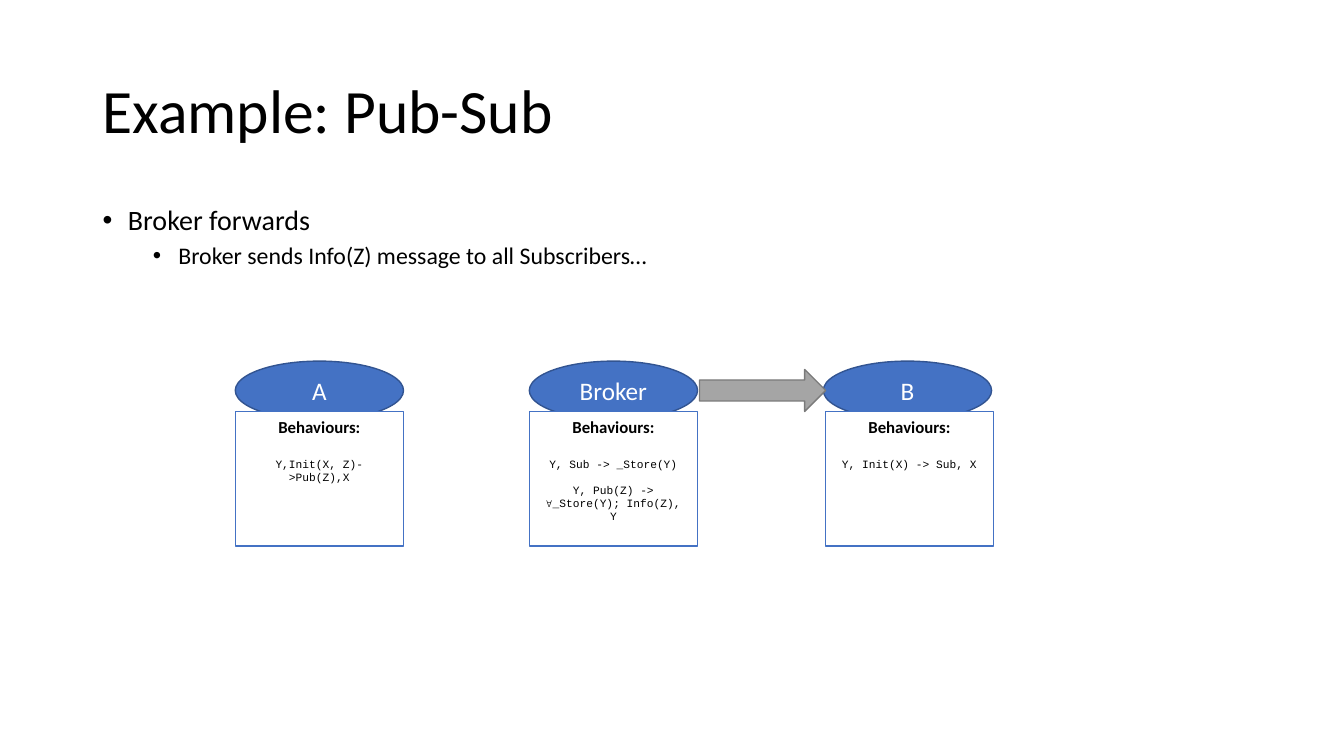
import pptx
import pptx.dml.color
import pptx.enum.shapes
import pptx.enum.text
import pptx.oxml.ns
import pptx.util
from lxml import etree

Cm, Pt = pptx.util.Cm, pptx.util.Pt
RGBColor = pptx.dml.color.RGBColor
SHAPE = pptx.enum.shapes.MSO_SHAPE
ALIGN = pptx.enum.text.PP_ALIGN
ANCHOR = pptx.enum.text.MSO_ANCHOR

TITLE = "Example: Pub-Sub"
# text, level, size, space before, left margin in cm
BULLETS = [
    ("Broker forwards", 0, 20, 10, 0.64),
    ("Broker sends Info(Z) message to all Subscribers…", 1, 17, 5, 1.91),
]
HEADING = "Behaviours:"
# name, rules, sideways shift of the box in cm
ACTORS = [
    ("A", ["Y,Init(X, Z)->Pub(Z),X"], 0),
    ("Broker", ["Y, Sub -> _Store(Y)", "Y, Pub(Z) -> ∀_Store(Y); Info(Z), Y"], 0),
    ("B", ["Y, Init(X) -> Sub, X"], 0.05),
]

BLACK = RGBColor(0x00, 0x00, 0x00)
WHITE = RGBColor(0xFF, 0xFF, 0xFF)
BLUE = RGBColor(0x44, 0x72, 0xC4)
NAVY = RGBColor(0x32, 0x54, 0x91)
GREY = RGBColor(0xA5, 0xA5, 0xA5)
DARK = RGBColor(0x7A, 0x7A, 0x7A)

LEFT, PITCH, WIDTH = 5.93, 7.41, 4.24
OVAL_TOP, OVAL_HIGH = 9.1, 1.48
BOX_TOP, BOX_HIGH = 10.37, 3.39
INDENT = 0.64


def place(shape, left, top, width, height):
    shape.left, shape.top = Cm(left), Cm(top)
    shape.width, shape.height = Cm(width), Cm(height)


def write(para, text, size, color=BLACK, font="Calibri", bold=False):
    run = para.add_run()
    run.text = text
    run.font.size = Pt(size)
    run.font.name = font
    run.font.bold = bold
    run.font.color.rgb = color


def draw(slide, kind, area, fill, line):
    left, top, width, height = map(Cm, area)
    shape = slide.shapes.add_shape(kind, left, top, width, height)
    shape.shadow.inherit = False
    shape.fill.solid()
    shape.fill.fore_color.rgb = fill
    shape.line.color.rgb = line
    shape.line.width = Pt(1)
    return shape


def next_para(frame, index):
    """Return the first paragraph for index 0, else a new one."""
    return frame.add_paragraph() if index else frame.paragraphs[0]


def set_bullet(para, margin):
    props = para._p.get_or_add_pPr()
    props.set("marL", str(Cm(margin)))
    props.set("indent", str(-Cm(INDENT)))
    qn = pptx.oxml.ns.qn
    etree.SubElement(props, qn("a:buFont"), typeface="Arial")
    etree.SubElement(props, qn("a:buChar"), char="•")


def add_title(slide):
    title = slide.shapes.title
    place(title, 2.33, 1.01, 29.21, 3.68)
    frame = title.text_frame
    frame.vertical_anchor = ANCHOR.MIDDLE
    para = frame.paragraphs[0]
    para.alignment = ALIGN.LEFT
    para.line_spacing = 0.9
    write(para, TITLE, 44)


def add_list(slide):
    body = slide.placeholders[1]
    place(body, 2.33, 5.07, 29.21, 12.09)
    frame = body.text_frame
    frame.auto_size = pptx.enum.text.MSO_AUTO_SIZE.NONE
    for index, (text, level, size, before, margin) in enumerate(BULLETS):
        para = next_para(frame, index)
        para.level = level
        para.line_spacing = 0.9
        para.space_before = Pt(before)
        set_bullet(para, margin)
        write(para, text, size)


def add_actor(slide, left, name, rules, shift):
    oval = draw(slide, SHAPE.OVAL, (left, OVAL_TOP, WIDTH, OVAL_HIGH), BLUE, NAVY)
    para = oval.text_frame.paragraphs[0]
    para.alignment = ALIGN.CENTER
    write(para, name, 18, WHITE)

    area = (left + shift, BOX_TOP, WIDTH, BOX_HIGH)
    box = draw(slide, SHAPE.RECTANGLE, area, WHITE, BLUE)
    frame = box.text_frame
    frame.vertical_anchor = ANCHOR.TOP
    head = frame.paragraphs[0]
    head.alignment = ALIGN.CENTER
    write(head, HEADING, 12, bold=True)
    for index, rule in enumerate(rules):
        para = frame.add_paragraph()
        para.alignment = ALIGN.CENTER
        para.space_before = Pt(9 if index else 14.5)
        write(para, rule, 8, font="Courier New")


def main():
    deck = pptx.Presentation()
    deck.slide_width, deck.slide_height = Cm(33.87), Cm(19.05)
    slide = deck.slides.add_slide(deck.slide_layouts[1])
    add_title(slide)
    add_list(slide)
    for index, actor in enumerate(ACTORS):
        add_actor(slide, LEFT + index * PITCH, *actor)
    start = LEFT + PITCH + WIDTH + 0.05
    draw(slide, SHAPE.RIGHT_ARROW, (start, 9.31, 3.18, 1.06), GREY, DARK)
    deck.save("out.pptx")


if __name__ == "__main__":
    main()
